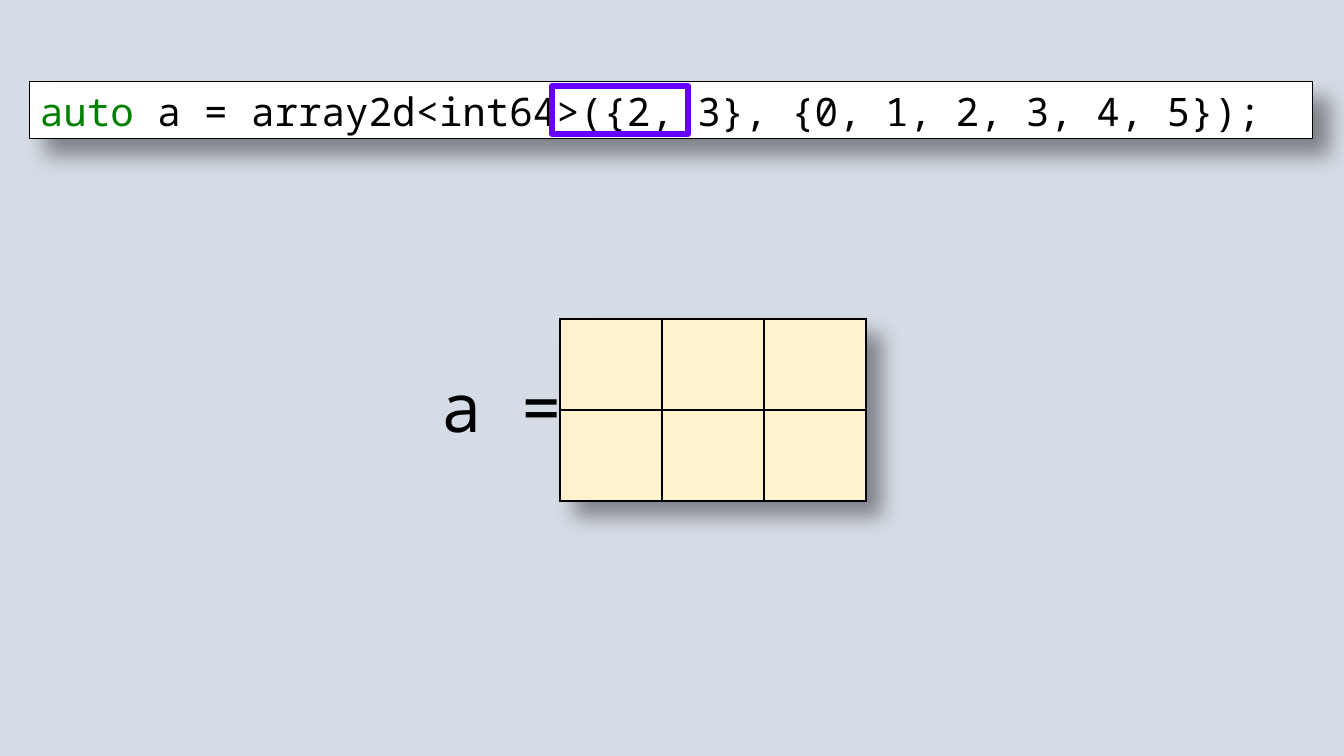
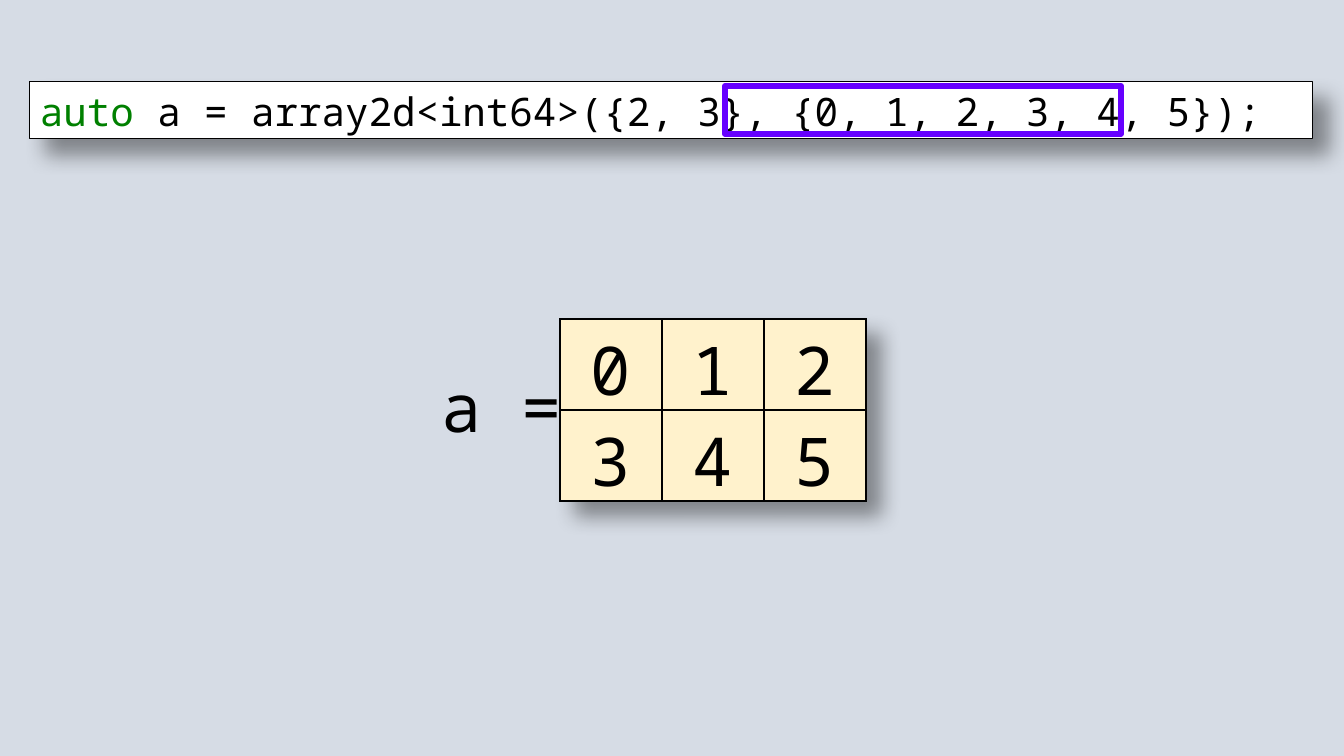
from lxml import etree
from pptx import Presentation
from pptx.dml.color import RGBColor
from pptx.enum.shapes import MSO_SHAPE
from pptx.enum.text import MSO_ANCHOR, MSO_AUTO_SIZE, PP_ALIGN
from pptx.oxml.ns import qn
from pptx.util import Emu, Pt

RECTANGLE = MSO_SHAPE.RECTANGLE
TOP = MSO_ANCHOR.TOP
GROW = MSO_AUTO_SIZE.SHAPE_TO_FIT_TEXT
LEFT, CENTER, RIGHT = PP_ALIGN.LEFT, PP_ALIGN.CENTER, PP_ALIGN.RIGHT

EMU_PER_PX = 914400 / 100.8
EMU_PER_PT = 12700
PAGE_SIZE = (1344, 756)
FONT = "Noto Sans Mono"
CODE_SIZE, VALUE_SIZE = 28, 48
COLORS = {
    "background": "D6DCE5",
    "paper": "FFFFFF",
    "ink": "000000",
    "keyword": "008000",
    "highlight": "6600FF",
    "cell": "FFF2CC",
}

# Boxes are (left, top, width, height)
CODE_BOX = (30, 82, 1283, 57)
LABEL_BOX = (403, 360, 169, 92)
ARRAY_BOX = (560, 319, 306, 182)

CODE = [("auto", "keyword"), (" a = array2d<int64>({2, 3}, {0, 1, 2, 3, 4, 5});", "ink")]
# Each step: (offset in the code box, width) of the highlight, then the array
STEPS = [
    ((522, 136), [["", "", ""], ["", "", ""]]),
    ((695, 396), [["0", "1", "2"], ["3", "4", "5"]]),
]


def px(value):
    return Emu(round(value * EMU_PER_PX))


def place(box):
    return [px(value) for value in box]


def color(name):
    return RGBColor.from_string(COLORS[name])


def add_spans(para, spans, size, align):
    para.alignment = align
    for text, ink in spans:
        span = para.add_run()
        span.text = text
        span.font.name = FONT
        span.font.size = Pt(size)
        span.font.color.rgb = color(ink)


def add_shadow(effects):
    """Soft shadow to the lower right, inside an a:effectLst."""
    shadow = etree.SubElement(
        effects, qn("a:outerShdw"), blurRad=str(15 * EMU_PER_PT),
        dist=str(15 * EMU_PER_PT), dir=str(45 * 60000), algn="tl", rotWithShape="0")
    tint = etree.SubElement(shadow, qn("a:srgbClr"), val=COLORS["ink"])
    etree.SubElement(tint, qn("a:alpha"), val="40000")


def add_rectangle(page, box, fill, line, weight):
    shape = page.shapes.add_shape(RECTANGLE, *place(box))
    shape.shadow.inherit = False
    if fill:
        shape.fill.solid()
        shape.fill.fore_color.rgb = color(fill)
    else:
        shape.fill.background()
    shape.line.color.rgb = color(line)
    shape.line.width = Pt(weight)
    return shape


def add_code(page, box, highlight):
    """Code line with a frame around the part being explained."""
    left, top, _, height = box
    panel = add_rectangle(page, box, "paper", "ink", 0.75)
    add_shadow(panel._element.spPr.find(qn("a:effectLst")))
    frame = panel.text_frame
    frame.word_wrap = True
    frame.auto_size = GROW
    frame.vertical_anchor = TOP
    add_spans(frame.paragraphs[0], CODE, CODE_SIZE, LEFT)

    offset, width = highlight
    add_rectangle(page, (left + offset, top + 4, width, height - 9),
                  None, "highlight", 4.25)


def add_label(page, box):
    frame = page.shapes.add_textbox(*place(box)).text_frame
    frame.word_wrap = False
    frame.auto_size = GROW
    add_spans(frame.paragraphs[0], [("a = ", "ink")], VALUE_SIZE, RIGHT)


def add_borders(cell):
    properties = cell._tc.get_or_add_tcPr()
    for index, side in enumerate(("lnL", "lnR", "lnT", "lnB")):
        line = etree.Element(qn("a:" + side), w=str(EMU_PER_PT))
        fill = etree.SubElement(line, qn("a:solidFill"))
        etree.SubElement(fill, qn("a:srgbClr"), val=COLORS["ink"])
        properties.insert(index, line)


def add_array(page, box, values):
    """Two-dimensional array as a table of equal cells."""
    rows, columns = len(values), len(values[0])
    table = page.shapes.add_table(rows, columns, *place(box)).table
    table.first_row = False
    table.horz_banding = False
    effects = etree.Element(qn("a:effectLst"))
    add_shadow(effects)
    table._tbl.tblPr.insert(0, effects)

    for column in table.columns:
        column.width = px(box[2] / columns)
    for row, row_values in zip(table.rows, values):
        row.height = px(box[3] / rows)
        for cell, value in zip(row.cells, row_values):
            cell.fill.solid()
            cell.fill.fore_color.rgb = color("cell")
            add_borders(cell)
            if value:
                add_spans(cell.text_frame.paragraphs[0], [(value, "ink")],
                          VALUE_SIZE, CENTER)


def add_step(deck, highlight, values):
    page = deck.slides.add_slide(deck.slide_layouts[6])
    page.background.fill.solid()
    page.background.fill.fore_color.rgb = color("background")
    add_code(page, CODE_BOX, highlight)
    add_label(page, LABEL_BOX)
    add_array(page, ARRAY_BOX, values)


def main():
    deck = Presentation()
    deck.slide_width, deck.slide_height = place(PAGE_SIZE)
    for highlight, values in STEPS:
        add_step(deck, highlight, values)
    deck.save("out.pptx")


if __name__ == "__main__":
    main()
